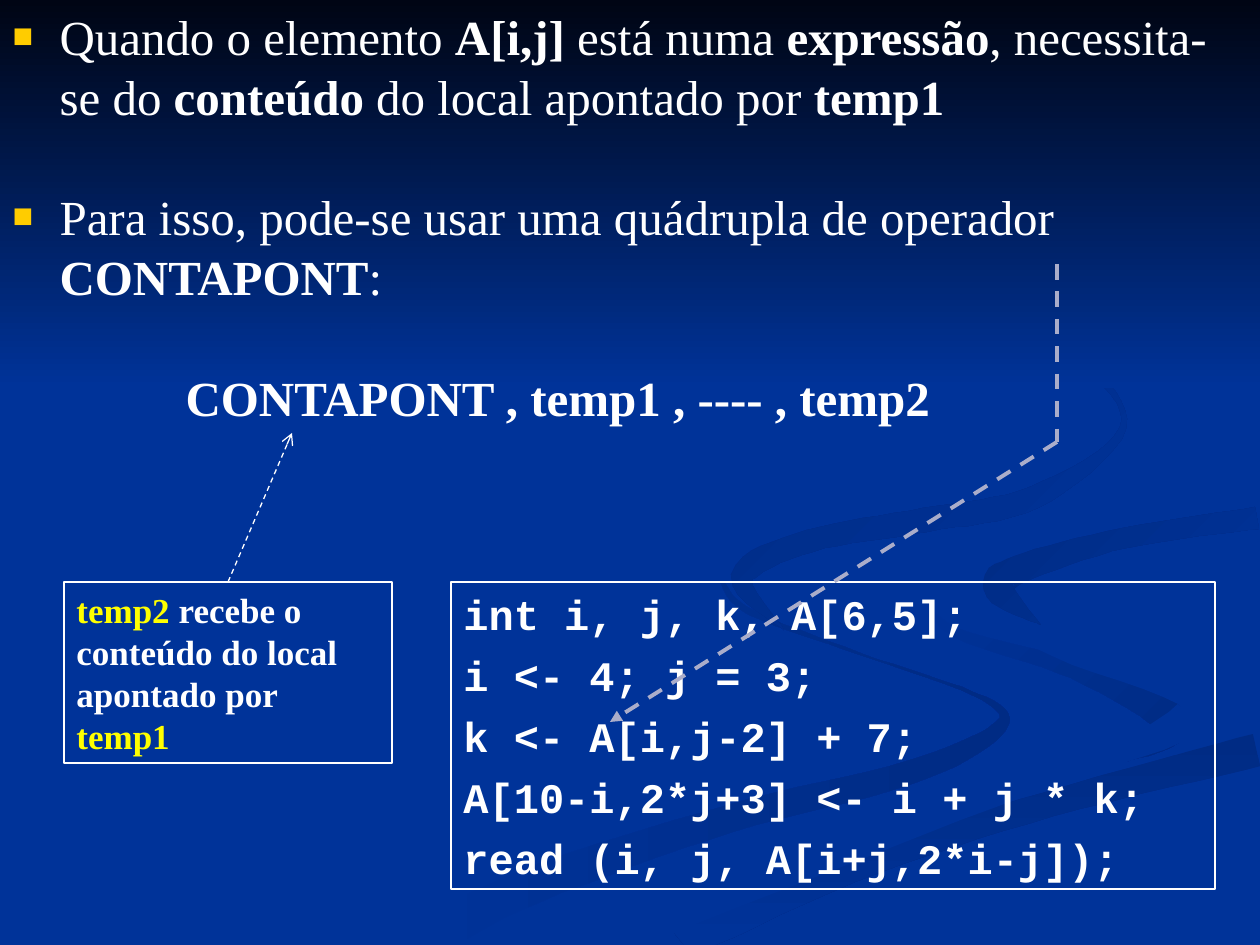
"""Build the slide on the CONTAPONT quadruple, with its code and arrows."""
from math import hypot
from lxml.etree import SubElement
from pptx import Presentation
from pptx.dml.color import RGBColor
from pptx.enum.dml import MSO_LINE
from pptx.enum.shapes import MSO_CONNECTOR, MSO_SHAPE
from pptx.enum.text import MSO_ANCHOR, MSO_AUTO_SIZE, PP_ALIGN
from pptx.oxml.ns import qn
from pptx.util import Pt

PX = 9144000 // 1260
WIDE, HIGH = 1260, 945
WHITE, YELLOW, GOLD, LILAC = "FFFFFF", "FFFF00", "FFCC00", "AAADCA"
BLUE, DEEP, NIGHT = "003399", "002B84", "000514"
SERIF, MONO = "Times New Roman", "Courier New"
STEPS = 8


def hue(code):
    """Turn a hex string into a colour."""
    return RGBColor.from_string(code)


def write(frame, rows, line, gap, looks):
    """Fill a frame with rows whose runs, cut at each bar, take turns in two looks."""
    for num, row in enumerate(rows):
        para = frame.add_paragraph() if num else frame.paragraphs[0]
        form = {"alignment": PP_ALIGN.LEFT, "line_spacing": Pt(line),
                "space_before": Pt(gap if num else 0), "space_after": Pt(0)}
        for key, val in form.items():
            setattr(para, key, val)
        for spot, text in enumerate(row.split("|")):
            if text:
                run = para.add_run()
                run.text = text
                look = dict(looks[spot % 2])
                run.font.color.rgb = hue(look.pop("ink"))
                for key, val in look.items():
                    setattr(run.font, key, val)


deck = Presentation()
deck.slide_width, deck.slide_height = WIDE * PX, HIGH * PX
slide = deck.slides.add_slide(deck.slide_layouts[1])
back = slide.background.fill
back.solid()
back.fore_color.rgb = hue(BLUE)
shapes = slide.shapes
title, body = shapes.title, slide.placeholders[1]
shapes.element.remove(title.element)

# Each knot of a ribbon is its middle (x, y) and half its width.
ribbons = {
    "river": (BLUE, DEEP, 0, [
        (722, 582, 2), (750, 612, 3), (860, 654, 1), (985, 699, 2), (997, 730, 7),
        (908, 773, 12), (729, 819, 14), (534, 885, 18), (416, 944, 20)]),
    "hook": (BLUE, DEEP, 45, [
        (912, 588, 1), (955, 632, 5), (1074, 670, 9), (1172, 722, 16), (1126, 762, 0)]),
    "bank": (DEEP, BLUE, 90, [
        (676, 943, 20), (850, 868, 15), (1050, 804, 13), (1257, 750, 17)]),
    "fold": (BLUE, BLUE, 0, [
        (1259, 498, 10), (1071, 530, 8), (950, 570, 25), (1060, 640, 18),
        (1200, 705, 20), (1000, 800, 5), (630, 928, 20)]),
    "curl": (DEEP, BLUE, 45, [
        (1257, 518, 11), (1125, 538, 10), (1020, 569, 14), (1000, 590, 15),
        (1041, 625, 0)]),
    "crest": (DEEP, BLUE, 45, [
        (960, 294, 0), (1078, 359, 3), (1123, 428, 3), (1035, 497, 11), (925, 520, 12),
        (810, 541, 11), (742, 577, 11), (784, 630, 0)]),
}
decor = []
for first, last, turn, knots in ribbons.values():
    chain = [knots[0], *knots, knots[-1]]
    track = []
    for quad in zip(chain, chain[1:], chain[2:], chain[3:]):
        for step in range(STEPS):
            t = step / STEPS
            track.append([b + t * (c - a) / 2 + t * t * (2 * a - 5 * b + 4 * c - d) / 2
                          + t ** 3 * (3 * b - a - 3 * c + d) / 2
                          for a, b, c, d in zip(*quad)])
    track.append(knots[-1])
    near, far = [], []
    for num, (x, y, half) in enumerate(track):
        prev, succ = track[max(num - 1, 0)], track[min(num + 1, len(track) - 1)]
        dx, dy = succ[0] - prev[0], succ[1] - prev[1]
        size = half / hypot(dx, dy)
        near.append((x - dy * size, y + dx * size))
        far.append((x + dy * size, y - dx * size))
    rim = [(min(x, WIDE), min(y, HIGH)) for x, y in near + far[::-1]]
    pen = shapes.build_freeform(*rim[0], scale=PX)
    pen.add_line_segments(rim[1:], close=True)
    decor.append((pen.convert_to_shape(), first, last, turn))
sky = shapes.add_shape(MSO_SHAPE.RECTANGLE, 0, 0, WIDE * PX, 388 * PX)
decor.append((sky, NIGHT, BLUE, 90))
for shape, first, last, turn in decor:
    shape.shadow.inherit = False
    shape.line.fill.background()
    shape.fill.gradient()
    shape.fill.gradient_angle = (360 - turn) % 360
    for stop, tint, spot in zip(shape.fill.gradient_stops, (first, last), (0, 1)):
        stop.color.rgb = hue(tint)
        stop.position = spot

shapes.element.append(body.element)
body.left, body.top, body.width, body.height = 0, 0, WIDE * PX, HIGH * PX
frame = body.text_frame
form = {"auto_size": MSO_AUTO_SIZE.NONE, "vertical_anchor": MSO_ANCHOR.TOP,
        "word_wrap": True, "margin_top": 6 * PX}
for key, val in form.items():
    setattr(frame, key, val)
plain = {"size": Pt(28), "name": SERIF, "bold": False, "ink": WHITE}
points = [
    "Quando o elemento |A[i,j]| está numa |expressão|, necessita-se do |conteúdo"
    "| do local apontado por |temp1",
    "Para isso, pode-se usar uma quádrupla de operador |CONTAPONT|:",
    "|CONTAPONT , temp1 , ---- , temp2",
]
write(frame, points, 34, 35, (plain, {**plain, "bold": True}))
for para, left, hang in zip(frame.paragraphs, (47, 47, 173), (-47, -47, 0)):
    props = para._p.get_or_add_pPr()
    props.set("marL", str(left * PX))
    props.set("indent", str(hang * PX))
    if hang:
        tint = SubElement(props, qn("a:buClr"))
        SubElement(tint, qn("a:srgbClr"), val=GOLD)
        SubElement(props, qn("a:buSzPct"), val="70000")
        SubElement(props, qn("a:buFont"), typeface=SERIF)
        SubElement(props, qn("a:buChar"), char="■")
    else:
        SubElement(props, qn("a:buNone"))

code = ["int i, j, k, A[6,5];", "i <- 4; j = 3;", "k <- A[i,j-2] + 7;",
        "A[10-i,2*j+3] <- i + j * k;", "read (i, j, A[i+j,2*i-j]);"]
note = ["|temp2| recebe o conteúdo do local apontado por |temp1"]
mono = {"size": Pt(24), "name": MONO, "bold": True, "ink": WHITE}
bold = {"size": Pt(20), "name": SERIF, "bold": True, "ink": WHITE}
boxes = [
    (451, 764, 307, code, 28.9, (mono, mono)),
    (64, 328, 181, note, 24, (bold, {**bold, "ink": YELLOW})),
]
for left, wide, high, rows, line, looks in boxes:
    box = shapes.add_shape(MSO_SHAPE.RECTANGLE, left * PX, 582 * PX, wide * PX, high * PX)
    box.shadow.inherit = False
    box.fill.background()
    box.line.color.rgb = hue(WHITE)
    box.line.width = Pt(0.72)
    box.text_frame.word_wrap = True
    box.text_frame.vertical_anchor = MSO_ANCHOR.TOP
    write(box.text_frame, rows, line, 6, looks)

bend = (1057, 442)
links = [
    (bend, (610, 722), LILAC, 2.25, "triangle"),
    ((1057, 264), bend, LILAC, 2.25, None),
    ((228, 582), (292, 433), WHITE, 0.75, "arrow"),
]
for start, end, tint, wide, tip in links:
    ends = [place * PX for place in start + end]
    link = shapes.add_connector(MSO_CONNECTOR.STRAIGHT, *ends)
    link.line.color.rgb = hue(tint)
    link.line.width = Pt(wide)
    link.line.dash_style = MSO_LINE.DASH
    if tip:
        SubElement(link.line._get_or_add_ln(), qn("a:tailEnd"), type=tip)
    SubElement(link._element.spPr, qn("a:effectLst"))
link.begin_connect(box, 0)

deck.save("out.pptx")
